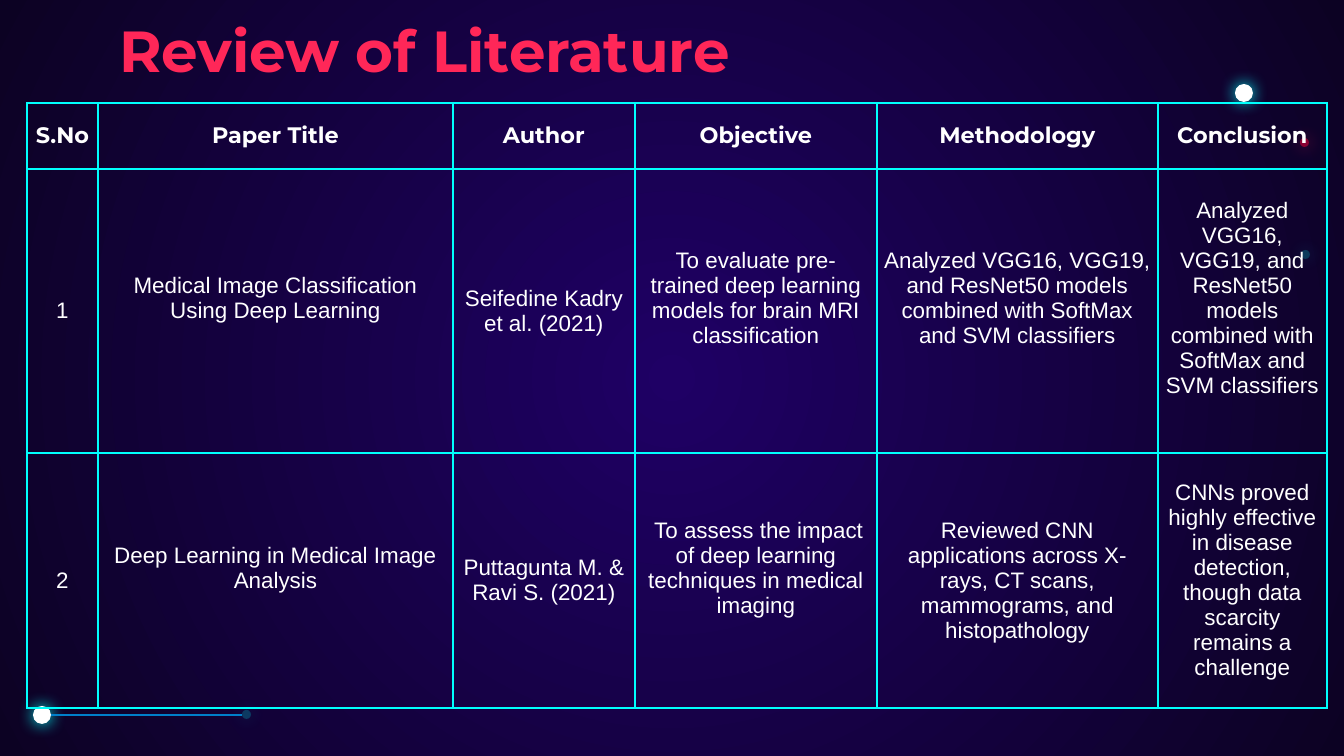
"""Build the literature review slide: a neon table over a dark radial background."""
from lxml import etree
from pptx import Presentation
from pptx import util as u
from pptx.dml.color import RGBColor
from pptx.enum import shapes, text
from pptx.oxml import parse_xml
from pptx.oxml.ns import nsdecls, qn

PX = 914400 / 134.4
CYAN, PINK, WHITE = "00FFFD", "FF2758", "FFFFFF"


def paint(target, color):
    if hasattr(target, "solid"):
        target.solid()
        target = target.fore_color
    target.rgb = RGBColor.from_string(color)


def style(frame, size, font, bold, color):
    for par in frame.paragraphs:
        for run in par.runs:
            run.font.size = u.Pt(size)
            run.font.name = font
            run.font.bold = bold
            paint(run.font.color, color)


deck = Presentation()
deck.slide_width, deck.slide_height = int(1344 * PX), int(756 * PX)
slide = deck.slides.add_slide(deck.slide_layouts[6])

back = slide.background.fill
back.gradient()
for stop, color in zip(back.gradient_stops, ("1F0065", "0C0223")):
    paint(stop.color, color)
grad = slide.background.fill._xPr.find(qn("a:gradFill"))
grad.remove(grad.find(qn("a:lin")))
grad.append(parse_xml(
    f'<a:path {nsdecls("a")} path="circle">'
    '<a:fillToRect l="50000" t="50000" r="50000" b="50000"/></a:path>'))

dots = [
    (1301, 250, 9, CYAN, 20, CYAN),
    (1300, 138, 9, "FF003A", 48, PINK),
    (242, 710, 9, CYAN, 20, CYAN),
    (33, 706, 18, WHITE, 100, CYAN),
    (1235, 84, 18, WHITE, 100, CYAN),
]
for left, top, size, color, alpha, glow in dots:
    dot = slide.shapes.add_shape(
        shapes.MSO_SHAPE.OVAL, *(int(n * PX) for n in (left, top, size, size)))
    paint(dot.fill, color)
    dot.line.fill.background()
    dot.shadow.inherit = False
    props = dot._element.spPr
    tint = props.find(qn("a:solidFill")).find(qn("a:srgbClr"))
    etree.SubElement(tint, qn("a:alpha"), val=str(alpha * 1000))
    props.find(qn("a:effectLst")).append(parse_xml(
        f'<a:outerShdw {nsdecls("a")} blurRad="{u.Pt(9)}" dist="0" dir="0" '
        f'algn="bl" rotWithShape="0"><a:srgbClr val="{glow}"/></a:outerShdw>'))

line = slide.shapes.add_connector(
    shapes.MSO_CONNECTOR.STRAIGHT, *(int(n * PX) for n in (51, 715, 242, 715)))
paint(line.line.fill, "007FCA")
line.line.width = u.Pt(0.75)
etree.SubElement(line._element.spPr, qn("a:effectLst"))

title = slide.shapes.add_textbox(*(int(n * PX) for n in (106, 8, 1133, 82)))
frame = title.text_frame
frame.word_wrap = True
frame.vertical_anchor = text.MSO_ANCHOR.MIDDLE
frame.margin_left = frame.margin_right = u.Inches(0.1)
frame.margin_top = frame.margin_bottom = u.Inches(0.1)
frame.text = "Review of Literature"
style(frame, 31, "Montserrat", True, PINK)

study = ("Analyzed VGG16, VGG19, and ResNet50 models "
         "combined with SoftMax and SVM classifiers")
rows = [
    ["S.No", "Paper Title", "Author", "Objective", "Methodology", "Conclusion"],
    ["1", "Medical Image Classification Using Deep Learning",
     "Seifedine Kadry et al. (2021)",
     "To evaluate pre-trained deep learning models for brain MRI classification",
     study, study],
    ["2", "Deep Learning in Medical Image Analysis",
     "Puttagunta M. & Ravi S. (2021)",
     " To assess the impact of deep learning techniques in medical imaging",
     "Reviewed CNN applications across X-rays, CT scans, mammograms, "
     "and histopathology",
     "CNNs proved highly effective in disease detection, "
     "though data scarcity remains a challenge"],
]
widths = [71, 355, 182, 242, 281, 169]
heights = [66, 284, 255]
raised = {(1, 1), (1, 3), (1, 4), (1, 5), (2, 1), (2, 3)}

holder = slide.shapes.add_table(
    len(rows), len(widths),
    *(int(n * PX) for n in (27, 103, sum(widths), sum(heights))))
grid = holder.table
grid.first_row = grid.horz_banding = False
for col, width in zip(grid.columns, widths):
    col.width = int(width * PX)
for row, height in zip(grid.rows, heights):
    row.height = int(height * PX)

for r, words in enumerate(rows):
    for c, word in enumerate(words):
        cell = grid.cell(r, c)
        cell.fill.background()
        cell.vertical_anchor = text.MSO_ANCHOR.MIDDLE
        cell.margin_left = cell.margin_right = cell.margin_top = u.Inches(0.05)
        cell.margin_bottom = int((32 if (r, c) in raised else 7) * PX)
        cell.text_frame.text = word
        cell.text_frame.paragraphs[0].alignment = text.PP_ALIGN.CENTER
        style(cell.text_frame, 12, "Arial" if r else "Montserrat", r == 0, WHITE)
        for i, side in enumerate("LRTB"):
            cell._tc.tcPr.insert(i, parse_xml(
                f'<a:ln{side} {nsdecls("a")} w="{u.Pt(1.5)}"><a:solidFill>'
                f'<a:srgbClr val="{CYAN}"/></a:solidFill></a:ln{side}>'))

slide.shapes._spTree.append(dot._element)

deck.save("out.pptx")
